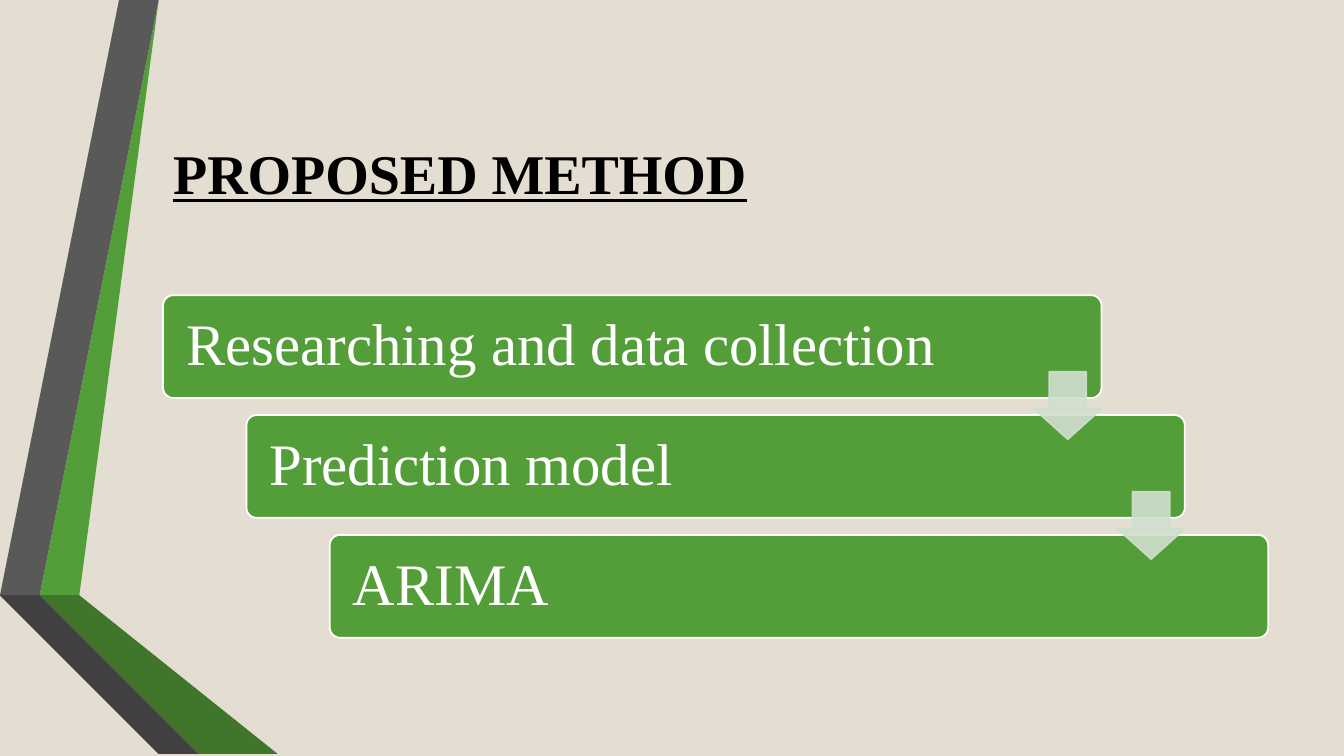
"""Build the "Proposed method" slide with three descending steps."""
from lxml.etree import SubElement
from pptx import Presentation
from pptx.dml.color import RGBColor
from pptx.enum.shapes import MSO_SHAPE
from pptx.enum.text import MSO_ANCHOR, PP_ALIGN
from pptx.oxml.ns import qn
from pptx.util import Cm, Pt

TITLE = "PROPOSED METHOD"
STEPS = ["Researching and data collection", "Prediction model", "ARIMA"]
FONT = "Times New Roman"
COLORS = {
    "background": "E3DED1", "title": "000000", "step": "549E39",
    "white": "FFFFFF", "arrow": "D1DFCE",
    "green": "549E39", "gray": "595959", "black": "262626",
    "deep green": "2A4F1C", "dark green": "3F762B", "dark gray": "404040",
}
RIBBONS = [
    ("green", [(1.27, 14.68), (1.96, 14.81), (4.39, 0), (3.68, 0)]),
    ("gray", [(3.53, 0), (2.82, 0), (0.41, 14.55), (1.12, 14.66)]),
    ("black", [(0.41, 14.55), (3.68, 19.05), (3.84, 19.05)]),
    ("deep green", [(1.27, 14.71), (5.28, 19.05), (5.44, 19.05)]),
    ("dark green", [(1.27, 14.7), (5.44, 19.05), (7.19, 19.05), (1.96, 14.81)]),
    ("dark gray", [(5.13, 19.05), (1.22, 14.81), (1.12, 14.66), (0.41, 14.55),
                   (3.84, 19.05)]),
]
LEFT, TOP = 4.11, 7.44
STEP_WIDTH, STEP_HEIGHT = 23.65, 2.59
SHIFT_X, SHIFT_Y = 2.1, 3.02
ARROW_SIZE, ARROW_DROP = 1.7, 1.93
INSET = 0.51


def rgb(name):
    return RGBColor.from_string(COLORS[name])


def paint(shape, fill, line=None):
    shape.shadow.inherit = False
    shape.fill.solid()
    shape.fill.fore_color.rgb = rgb(fill)
    if line:
        shape.line.color.rgb = rgb(line)
        shape.line.width = Pt(1.25)
    else:
        shape.line.fill.background()


def write(shape, text, size, color):
    frame = shape.text_frame
    frame.text = text
    frame.word_wrap = True
    frame.vertical_anchor = MSO_ANCHOR.MIDDLE
    paragraph = frame.paragraphs[0]
    paragraph.alignment = PP_ALIGN.LEFT
    paragraph.line_spacing = 0.9
    paragraph.font.name = FONT
    paragraph.font.size = Pt(size)
    paragraph.font.color.rgb = rgb(color)
    return paragraph


def add_ribbon(slide, color, points):
    builder = slide.shapes.build_freeform(*points[0], scale=Cm(1))
    builder.add_line_segments(points[1:], close=True)
    paint(builder.convert_to_shape(), color)


def add_title(slide):
    title = slide.shapes.title
    title.left, title.top, title.width, title.height = map(Cm, (LEFT, 1.9, 27.84, 4.88))
    heading = write(title, TITLE, 40, "title")
    heading.line_spacing = 1.0
    heading.font.bold = True
    heading.font.underline = True


def add_step(slide, index, text):
    box = slide.shapes.add_shape(
        MSO_SHAPE.ROUNDED_RECTANGLE, Cm(LEFT + index * SHIFT_X),
        Cm(TOP + index * SHIFT_Y), Cm(STEP_WIDTH), Cm(STEP_HEIGHT))
    box.adjustments[0] = 0.1
    paint(box, "step", "white")
    write(box, text, 42, "white")
    box.text_frame.margin_left = box.text_frame.margin_right = Cm(INSET)


def add_arrow(slide, index):
    arrow = slide.shapes.add_shape(
        MSO_SHAPE.DOWN_ARROW, Cm(LEFT + STEP_WIDTH - ARROW_SIZE + index * SHIFT_X),
        Cm(TOP + ARROW_DROP + index * SHIFT_Y), Cm(ARROW_SIZE), Cm(ARROW_SIZE))
    arrow.adjustments[0] = 0.55
    arrow.adjustments[1] = 0.45
    paint(arrow, "arrow", "arrow")
    for color in arrow.element.spPr.iter(qn("a:srgbClr")):
        SubElement(color, qn("a:alpha"), val="90000")


def main():
    deck = Presentation()
    deck.slide_width, deck.slide_height = Cm(33.87), Cm(19.05)
    slide = deck.slides.add_slide(deck.slide_layouts[5])
    slide.background.fill.solid()
    slide.background.fill.fore_color.rgb = rgb("background")
    for color, points in RIBBONS:
        add_ribbon(slide, color, points)
    add_title(slide)
    for index, text in enumerate(STEPS):
        add_step(slide, index, text)
    for index in range(len(STEPS) - 1):
        add_arrow(slide, index)
    deck.save("out.pptx")


if __name__ == "__main__":
    main()
